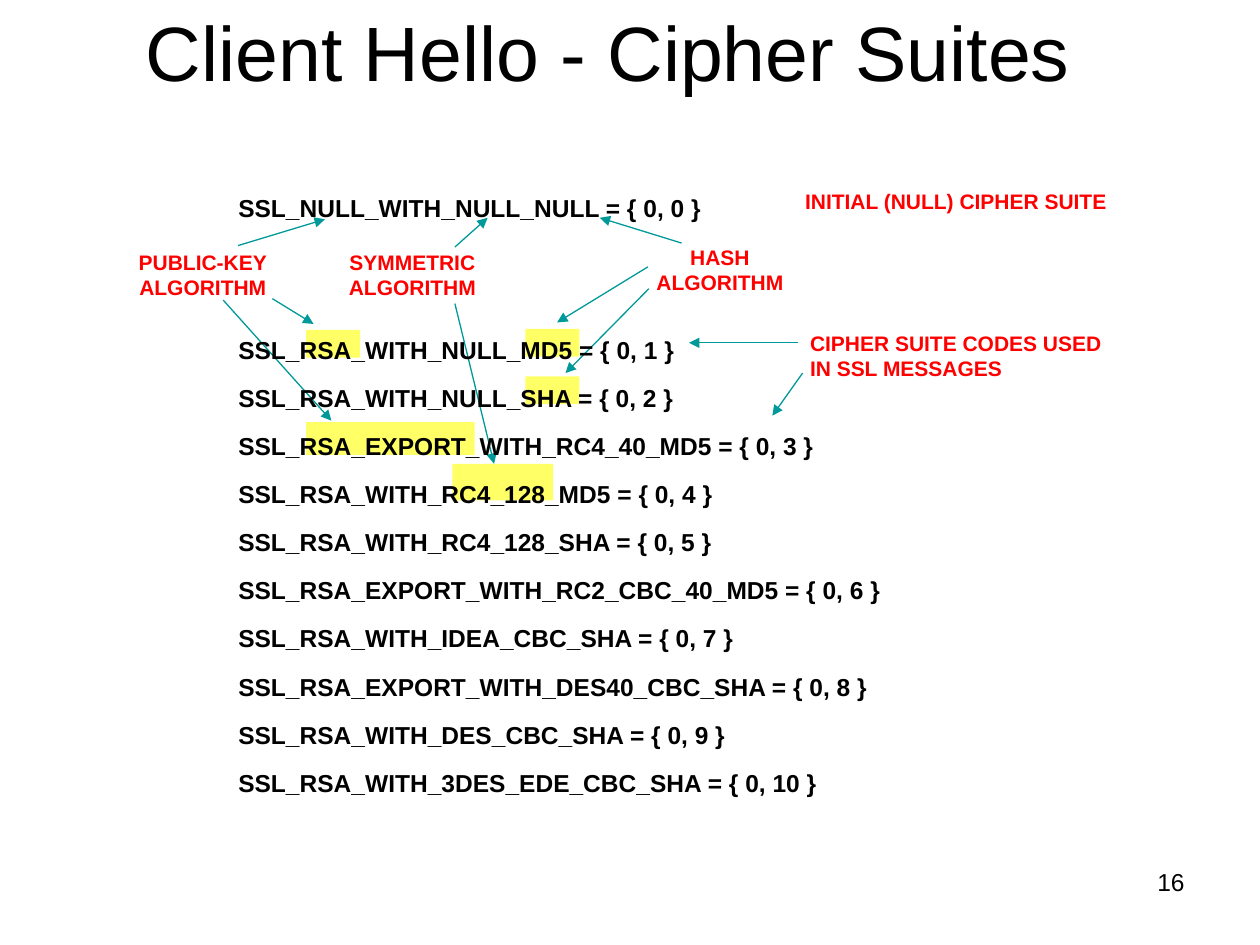
from lxml.etree import SubElement
from pptx import Presentation
from pptx.dml.color import RGBColor
from pptx.enum.shapes import MSO_CONNECTOR as Connector, MSO_SHAPE as Shape
from pptx.enum.text import MSO_ANCHOR as Anchor, MSO_AUTO_SIZE as AutoSize, PP_ALIGN as Align
from pptx.oxml.ns import qn
from pptx.util import Cm, Pt

COLORS = {"text": "000000", "label": "FF0000", "arrow": "009999", "highlight": "FFFF66"}


def color(name):
    return RGBColor.from_string(COLORS[name])


def style(paragraph, size, color_name="text", bold=False, align=Align.LEFT):
    paragraph.alignment = align
    font = paragraph.font
    font.name, font.size, font.bold = "Arial", Pt(size), bold
    font.color.rgb = color(color_name)


prs = Presentation()
prs.slide_width, prs.slide_height = Cm(25.4), Cm(19.05)
slide = prs.slides.add_slide(prs.slide_layouts[1])
shapes = slide.shapes

# Title
title = shapes.title
title.left, title.top, title.width, title.height = Cm(1.47), Cm(0), Cm(21.59), Cm(2.11)
title.text_frame.text = "Client Hello - Cipher Suites"
title.text_frame.vertical_anchor = Anchor.BOTTOM
title.text_frame.auto_size = AutoSize.NONE
title.text_frame.paragraphs[0].line_spacing = 0.9
style(title.text_frame.paragraphs[0], 44, align=Align.CENTER)

# Highlights behind the algorithm names: left, top, width, height
highlights = [
    (9.12, 9.35, 2.03, 0.74),   # RC4_128
    (6.17, 8.51, 3.4, 0.66),    # RSA_EXPORT
    (6.17, 6.65, 1.09, 0.56),   # RSA
    (10.59, 7.59, 1.09, 0.56),  # SHA
    (10.59, 6.63, 1.09, 0.56),  # MD5
]
for bounds in highlights:
    highlight = shapes.add_shape(Shape.RECTANGLE, *map(Cm, bounds))
    highlight.shadow.inherit = False
    highlight.fill.solid()
    highlight.fill.fore_color.rgb = color("highlight")
    highlight.line.fill.background()

# Red labels
labels = [
    ("INITIAL (NULL) CIPHER SUITE", (15.98, 3.68, 6.6, 0.76), Align.LEFT),
    ("PUBLIC-KEY\nALGORITHM", (2.54, 4.9, 3.1, 1.27), Align.CENTER),
    ("SYMMETRIC\nALGORITHM", (6.78, 4.9, 3.07, 1.27), Align.CENTER),
    ("HASH\nALGORITHM", (12.98, 4.8, 3.07, 1.27), Align.CENTER),
    ("CIPHER SUITE CODES USED\nIN SSL MESSAGES", (16.08, 6.53, 6.4, 1.27), Align.LEFT),
]
for text, bounds, align in labels:
    label = shapes.add_textbox(*map(Cm, bounds)).text_frame
    label.text = text
    label.word_wrap = False
    label.vertical_anchor = Anchor.MIDDLE
    for line in label.paragraphs:
        style(line, 12, "label", bold=True, align=align)

# Arrows from the labels: start x, start y, end x, end y
arrows = [
    (4.8, 4.95, 6.55, 4.42),     # public key
    (5.49, 6.02, 6.32, 6.53),
    (4.5, 6.05, 6.68, 8.48),
    (9.17, 4.98, 9.83, 4.39),    # symmetric
    (9.17, 6.12, 9.96, 9.35),
    (13.74, 4.9, 12.09, 4.39),   # hash
    (13.06, 5.38, 11.23, 6.5),
    (13.08, 5.82, 11.4, 7.52),
    (16.08, 6.91, 13.89, 6.91),  # suite codes
    (16.18, 7.52, 15.57, 8.38),
]
for ends in arrows:
    arrow = shapes.add_connector(Connector.STRAIGHT, *map(Cm, ends))
    arrow.line.color.rgb = color("arrow")
    arrow.line.width = Pt(0.75)
    arrow_properties = arrow.element.spPr
    SubElement(arrow_properties.find(qn("a:ln")), qn("a:tailEnd"), type="triangle")
    SubElement(arrow_properties, qn("a:effectLst"))

# Cipher suites; each one's code is its position in the list
suites = [
    "SSL_NULL_WITH_NULL_NULL",
    "SSL_RSA_WITH_NULL_MD5",
    "SSL_RSA_WITH_NULL_SHA",
    "SSL_RSA_EXPORT_WITH_RC4_40_MD5",
    "SSL_RSA_WITH_RC4_128_MD5",
    "SSL_RSA_WITH_RC4_128_SHA",
    "SSL_RSA_EXPORT_WITH_RC2_CBC_40_MD5",
    "SSL_RSA_WITH_IDEA_CBC_SHA",
    "SSL_RSA_EXPORT_WITH_DES40_CBC_SHA",
    "SSL_RSA_WITH_DES_CBC_SHA",
    "SSL_RSA_WITH_3DES_EDE_CBC_SHA",
]
suite_list = slide.placeholders[1]
suite_list.left, suite_list.top = Cm(4.55), Cm(3.76)
suite_list.width, suite_list.height = Cm(15.16), Cm(12.19)
suite_frame = suite_list.text_frame
suite_frame.text = "\n".join(f"{suite} = {{ 0, {code} }}" for code, suite in enumerate(suites))
suite_frame.vertical_anchor = Anchor.TOP
suite_frame.auto_size = AutoSize.NONE
space_before = {0: 0, 1: 64.3}  # the wide gap holds the algorithm labels
for code, suite in enumerate(suite_frame.paragraphs):
    properties = suite._p.get_or_add_pPr()
    properties.set("marL", "0")
    properties.set("indent", "0")
    SubElement(properties, qn("a:buNone"))
    suite.space_before = Pt(space_before.get(code, 10.7))
    style(suite, 14, bold=True)

# Bring the suites in front of highlights and arrows
suite_list.element.getparent().append(suite_list.element)

# Slide number
number = shapes.add_textbox(Cm(18.21), Cm(17.35), Cm(5.92), Cm(1.32)).text_frame
number.text = "16"
number.word_wrap = True
style(number.paragraphs[0], 14, align=Align.RIGHT)

prs.save("out.pptx")
